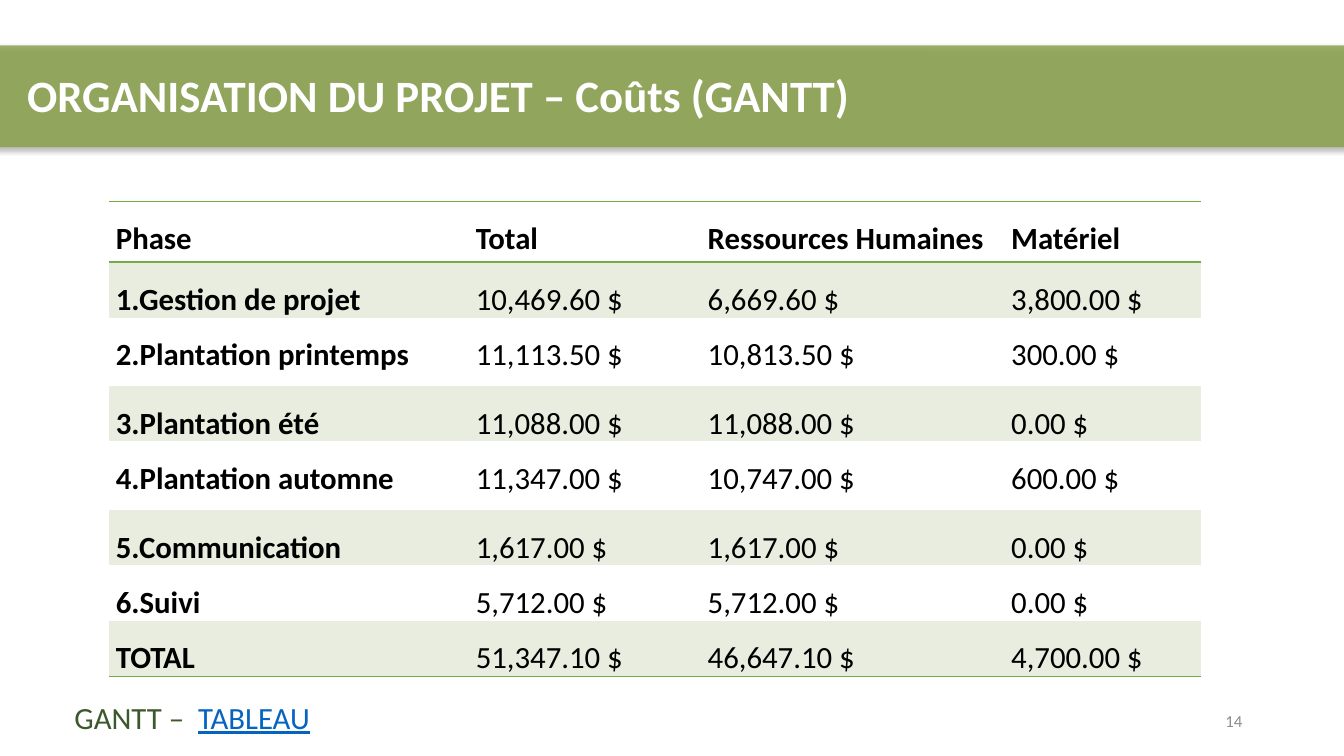
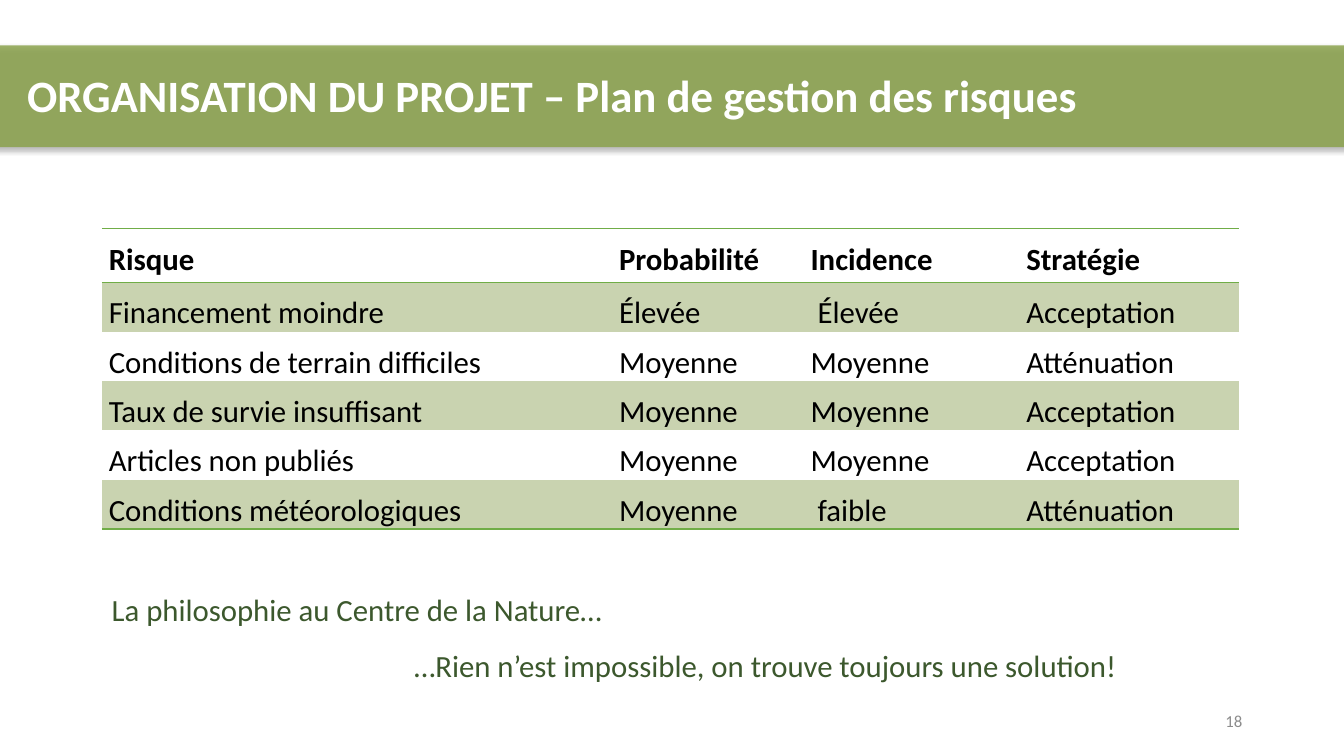
from lxml import etree
from pptx import Presentation
from pptx.dml.color import RGBColor
from pptx.enum.shapes import MSO_SHAPE as Shape
from pptx.enum.text import MSO_ANCHOR as Anchor, PP_ALIGN as Align
from pptx.oxml import parse_xml
from pptx.oxml.ns import nsdecls, qn
from pptx.util import Inches, Pt

# Shared look
FONT = "Calibri"
BAND, RULE, INK, LEAF = "87A045", "70AD47", "000000", "3C582D"
WHITE, GREY, LINK = "FFFFFF", "8C8C8C", "0563C1"
NO_STYLE = "{2D5ABB26-0587-4C30-8999-92F81FD0307C}"
BODY = 22
NUDGE = 0.07  # small indent of a few cells

# Content
COSTS = {
    "at": (1.08, 2),
    "cols": [3.57, 2.3, 3.01, 1.95],
    "rows": [0.6, 0.55, 0.68, 0.55, 0.68, 0.55, 0.55, 0.55],
    "tint": "E9EDDF", "space": 1.5, "after": 6, "top": 0,
    "bold_first": True, "nudged": [],
    "cells": [
        ("Phase", "Total", "Ressources Humaines", "Matériel"),
        ("1.Gestion de projet", "10,469.60 $", "6,669.60 $", "3,800.00 $"),
        ("2.Plantation printemps", "11,113.50 $", "10,813.50 $", "300.00 $"),
        ("3.Plantation été", "11,088.00 $", "11,088.00 $", "0.00 $"),
        ("4.Plantation automne", "11,347.00 $", "10,747.00 $", "600.00 $"),
        ("5.Communication", "1,617.00 $", "1,617.00 $", "0.00 $"),
        ("6.Suivi", "5,712.00 $", "5,712.00 $", "0.00 $"),
        ("TOTAL", "51,347.10 $", "46,647.10 $", "4,700.00 $"),
    ],
}
RISKS = {
    "at": (1.01, 2.27),
    "cols": [5.06, 1.9, 2.14, 2.18],
    "rows": [0.53] + [0.49] * 5,
    "tint": "C9D3B0", "space": 1.3, "after": 8, "top": 0.01,
    "bold_first": False, "nudged": [(1, 2), (5, 2)],
    "cells": [
        ("Risque", "Probabilité", "Incidence", "Stratégie"),
        ("Financement moindre", "Élevée", "Élevée", "Acceptation"),
        ("Conditions de terrain difficiles", "Moyenne", "Moyenne", "Atténuation"),
        ("Taux de survie insuffisant", "Moyenne", "Moyenne", "Acceptation"),
        ("Articles non publiés", "Moyenne", "Moyenne", "Acceptation"),
        ("Conditions météorologiques", "Moyenne", "faible", "Atténuation"),
    ],
}
MOTTO = [
    ("La philosophie au Centre de la Nature…", 0),
    ("…Rien n’est impossible, on trouve toujours une solution!", 3),
]


def rgb(code):
    return RGBColor.from_string(code)


def add_run(para, text, size=BODY, color=INK, bold=False, line=False):
    run = para.add_run()
    run.text = text
    font = run.font
    font.name, font.size, font.bold = FONT, Pt(size), bold
    font.color.rgb = rgb(color)
    if line:
        font.underline = True


def indent(para, size):
    if size:
        para._p.get_or_add_pPr().set("marL", str(Inches(size)))


def add_box(slide, *at):
    frame = slide.shapes.add_textbox(*map(Inches, at)).text_frame
    frame.word_wrap = True
    return frame


def add_band(slide):
    band = slide.shapes.add_shape(
        Shape.ROUNDED_RECTANGLE, *map(Inches, (-0.19, 0.45, 13.7, 1.01)))
    band.line.fill.background()
    band.fill.solid()
    band.fill.fore_color.rgb = rgb(BAND)
    props = band._element.spPr
    tone = props.find(qn("a:solidFill"))[0]
    etree.SubElement(tone, qn("a:alpha")).set("val", "80000")
    props.append(parse_xml(
        f'<a:effectLst {nsdecls("a")}>'
        f'<a:outerShdw blurRad="{Pt(3.5)}" dist="{Pt(2.2)}" dir="5400000" '
        f'rotWithShape="0"><a:srgbClr val="{INK}"><a:alpha val="32000"/>'
        '</a:srgbClr></a:outerShdw></a:effectLst>'))


def add_page(deck, title, number):
    slide = deck.slides.add_slide(deck.slide_layouts[6])
    add_band(slide)
    head = add_box(slide, 0.17, 0.67, 13.16, 0.59).paragraphs[0]
    head.line_spacing = Pt(35)
    add_run(head, title, 32, WHITE, True)
    foot = add_box(slide, 9.42, 6.95, 3, 0.4)
    foot.vertical_anchor = Anchor.MIDDLE
    foot.paragraphs[0].alignment = Align.RIGHT
    add_run(foot.paragraphs[0], number, 12, GREY)
    return slide


def add_rule(cell, side):
    cell._tc.get_or_add_tcPr().append(parse_xml(
        f'<a:{side} {nsdecls("a")} w="{Pt(1)}"><a:solidFill>'
        f'<a:srgbClr val="{RULE}"/></a:solidFill></a:{side}>'))


def add_grid(slide, data):
    cols, rows = data["cols"], data["rows"]
    size = (sum(cols), sum(rows))
    table = slide.shapes.add_table(
        len(rows), len(cols), *map(Inches, data["at"] + size)).table
    table.first_row = table.horz_banding = False
    table._tbl.tblPr.find(qn("a:tableStyleId")).text = NO_STYLE
    for col, width in zip(table.columns, cols):
        col.width = Inches(width)
    for row, height in zip(table.rows, rows):
        row.height = Inches(height)

    last = len(rows) - 1
    for r, words in enumerate(data["cells"]):
        for c, text in enumerate(words):
            cell = table.cell(r, c)
            cell.margin_left = cell.margin_right = Inches(0.07)
            cell.margin_top, cell.margin_bottom = Inches(data["top"]), 0
            # Rules around the header and under the last row
            if r == 0:
                add_rule(cell, "lnT")
            if r in (0, last):
                add_rule(cell, "lnB")
            # Odd rows are tinted
            if r % 2:
                cell.fill.solid()
                cell.fill.fore_color.rgb = rgb(data["tint"])
            else:
                cell.fill.background()
            para = cell.text_frame.paragraphs[0]
            para.line_spacing = data["space"]
            para.space_after = Pt(data["after"])
            indent(para, NUDGE if (r, c) in data["nudged"] else 0)
            add_run(para, text, bold=r == 0 or (c == 0 and data["bold_first"]))


def main():
    deck = Presentation()
    deck.slide_width, deck.slide_height = Inches(13.33), Inches(7.5)

    # Costs
    slide = add_page(deck, "ORGANISATION DU PROJET – Coûts (GANTT)", "14")
    note = add_box(slide, 0.64, 6.88, 9.12, 0.47).paragraphs[0]
    add_run(note, "GANTT –  ", color=LEAF)
    add_run(note, "TABLEAU", color=LINK, line=True)
    add_grid(slide, COSTS)

    # Risks
    slide = add_page(
        deck, "ORGANISATION DU PROJET – Plan de gestion des risques", "18")
    add_grid(slide, RISKS)
    frame = add_box(slide, 1.01, 5.63, 10.53, 1.56)
    for i, (text, left) in enumerate(MOTTO):
        para = frame.add_paragraph() if i else frame.paragraphs[0]
        para.line_spacing = 1.5
        indent(para, left)
        add_run(para, text, color=LEAF)

    deck.save("out.pptx")


if __name__ == "__main__":
    main()
